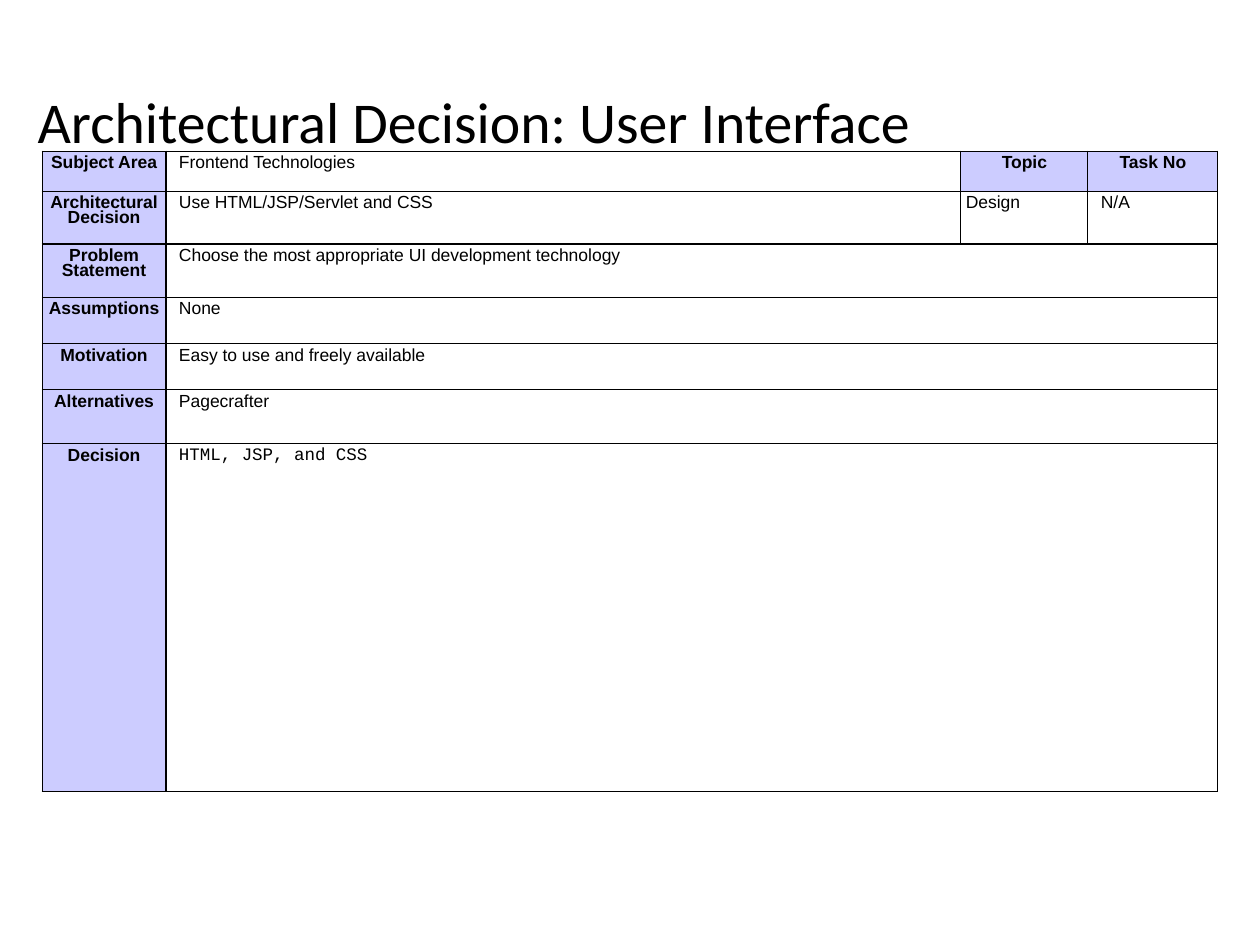
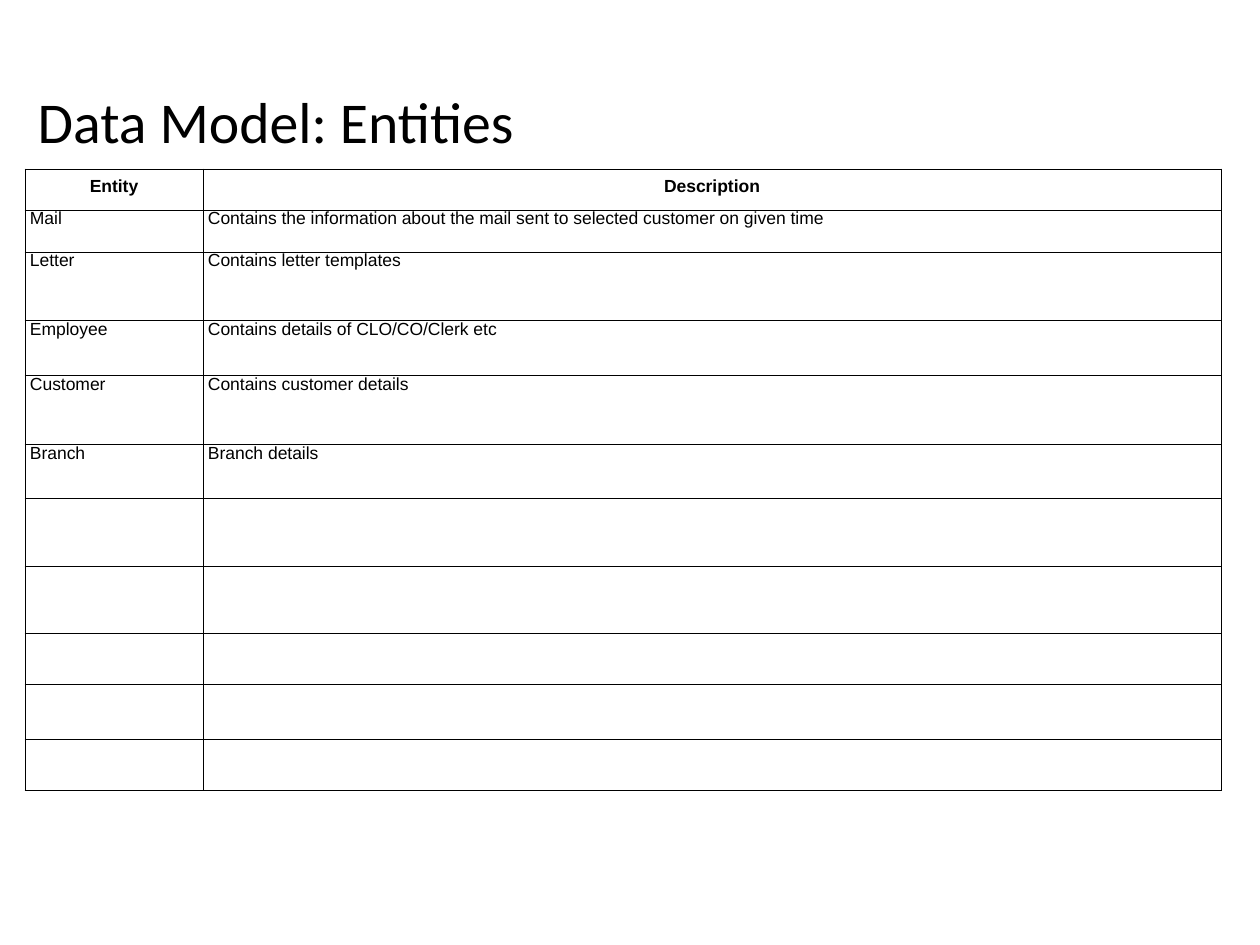
from lxml import etree
from pptx import Presentation
from pptx.dml.color import RGBColor
from pptx.enum.text import MSO_ANCHOR, MSO_AUTO_SIZE, PP_ALIGN
from pptx.oxml.ns import qn
from pptx.util import Pt

# Shared scale, colours and styles
PX = 914400 // 126
LEFT, CENTER = PP_ALIGN.LEFT, PP_ALIGN.CENTER
TOP, MIDDLE = MSO_ANCHOR.TOP, MSO_ANCHOR.MIDDLE
NO_AUTOFIT = MSO_AUTO_SIZE.NONE
BLACK, LAVENDER = "000000", "CCCCFF"
THIN, THICK = 0.57, 1.42
TITLE_ONLY = 5
rgb = RGBColor.from_string

# Each style: side inset, vertical anchor, fill, text format
STYLES = {
    "label": (5, TOP, LAVENDER, dict(bold=True, align=CENTER, spacing=0.76)),
    "answer": (13, TOP, None, dict(spacing=0.76)),
    "topic": (5, TOP, None, dict(spacing=0.76)),
    "code": (13, TOP, None, dict(font="Courier New", spacing=0.66)),
    "heading": (5, MIDDLE, None, dict(bold=True, align=CENTER, spacing=0.54)),
    "entity": (5, TOP, None, dict(spacing=0.54)),
    "detail": (5, TOP, None, dict(spacing=0.58)),
}


def write(frame, text, font="Arial", size=10, bold=False, align=LEFT, spacing=1.0):
    paragraph = frame.paragraphs[0]
    paragraph.alignment = align
    paragraph.line_spacing = spacing
    run = paragraph.add_run()
    run.text = text
    run.font.name = font
    run.font.size = Pt(size)
    run.font.bold = bold
    run.font.color.rgb = rgb(BLACK)


def format_cell(cell, inset, anchor, fill, borders):
    cell.margin_left = cell.margin_right = inset * PX
    cell.margin_top = cell.margin_bottom = 6 * PX
    cell.vertical_anchor = anchor
    properties = cell._tc.get_or_add_tcPr()
    for side, width in zip("LRTB", borders):
        line = etree.SubElement(properties, qn(f"a:ln{side}"), w=str(Pt(width)))
        solid = etree.SubElement(line, qn("a:solidFill"))
        etree.SubElement(solid, qn("a:srgbClr"), val=BLACK)
    if fill:
        cell.fill.solid()
        cell.fill.fore_color.rgb = rgb(fill)
    else:
        cell.fill.background()


# Content: a row with fewer cells than columns lets its last cell span the rest
decision_rows = [
    [("Subject Area", "label"), ("Frontend Technologies", "answer"),
     ("Topic", "label"), ("Task No", "label")],
    [("Architectural Decision", "label"), ("Use HTML/JSP/Servlet and CSS", "answer"),
     ("Design", "topic"), ("N/A", "answer")],
    [("Problem Statement", "label"),
     ("Choose the most appropriate UI development technology", "answer")],
    [("Assumptions", "label"), ("None", "answer")],
    [("Motivation", "label"), ("Easy to use and freely available", "answer")],
    [("Alternatives", "label"), ("Pagecrafter", "answer")],
    [("Decision", "label"), ("HTML, JSP, and CSS", "code")],
]
entity_rows = [
    [("Entity", "heading"), ("Description", "heading")],
    [("Mail", "entity"),
     ("Contains the information about the mail sent to selected customer on given time",
      "entity")],
    [("Letter", "entity"), ("Contains letter templates", "detail")],
    [("Employee", "entity"), ("Contains details of CLO/CO/Clerk etc", "detail")],
    [("Customer", "entity"), ("Contains customer details", "detail")],
    [("Branch", "entity"), ("Branch details", "entity")],
] + [[("", "entity"), ("", "entity")]] * 5

# Title, table corner, column widths, row heights, rows, thick column and row rule
pages = [
    ("Architectural Decision: User Interface", (42, 151), [124, 795, 127, 130],
     [40, 53, 53, 47, 46, 54, 348], decision_rows, 1, 2),
    ("Data Model: Entities", (25, 169), [178, 1018],
     [41, 42, 69, 55, 69, 54, 68, 67, 51, 55, 51], entity_rows, None, None),
]

presentation = Presentation()
presentation.slide_width = 1260 * PX
presentation.slide_height = 945 * PX

for heading, (left, top), widths, heights, rows, thick_column, thick_row in pages:
    slide = presentation.slides.add_slide(presentation.slide_layouts[TITLE_ONLY])

    # Title
    title = slide.shapes.title
    title.left, title.top, title.width, title.height = (
        25 * PX, 82 * PX, 1195 * PX, 86 * PX)
    title.text_frame.auto_size = NO_AUTOFIT
    title.text_frame.vertical_anchor = MIDDLE
    write(title.text_frame, heading, font="Calibri", size=33, spacing=0.9)

    # Table grid
    table = slide.shapes.add_table(
        len(heights), len(widths), left * PX, top * PX,
        sum(widths) * PX, sum(heights) * PX).table
    table.first_row = table.horz_banding = False
    for column, width in zip(table.columns, widths):
        column.width = width * PX
    for row, height in zip(table.rows, heights):
        row.height = height * PX

    # Cells
    last_column = len(widths) - 1
    for r, entries in enumerate(rows):
        for c in range(len(widths)):
            text, style = entries[min(c, len(entries) - 1)]
            inset, anchor, fill, text_format = STYLES[style]
            borders = [THICK if rule == thick else THIN for rule, thick in (
                (c, thick_column), (c + 1, thick_column),
                (r, thick_row), (r + 1, thick_row))]
            cell = table.cell(r, c)
            format_cell(cell, inset, anchor, fill, borders)
            if text and c < len(entries):
                write(cell.text_frame, text, **text_format)
        if len(entries) < len(widths):
            table.cell(r, len(entries) - 1).merge(table.cell(r, last_column))

presentation.save("out.pptx")
